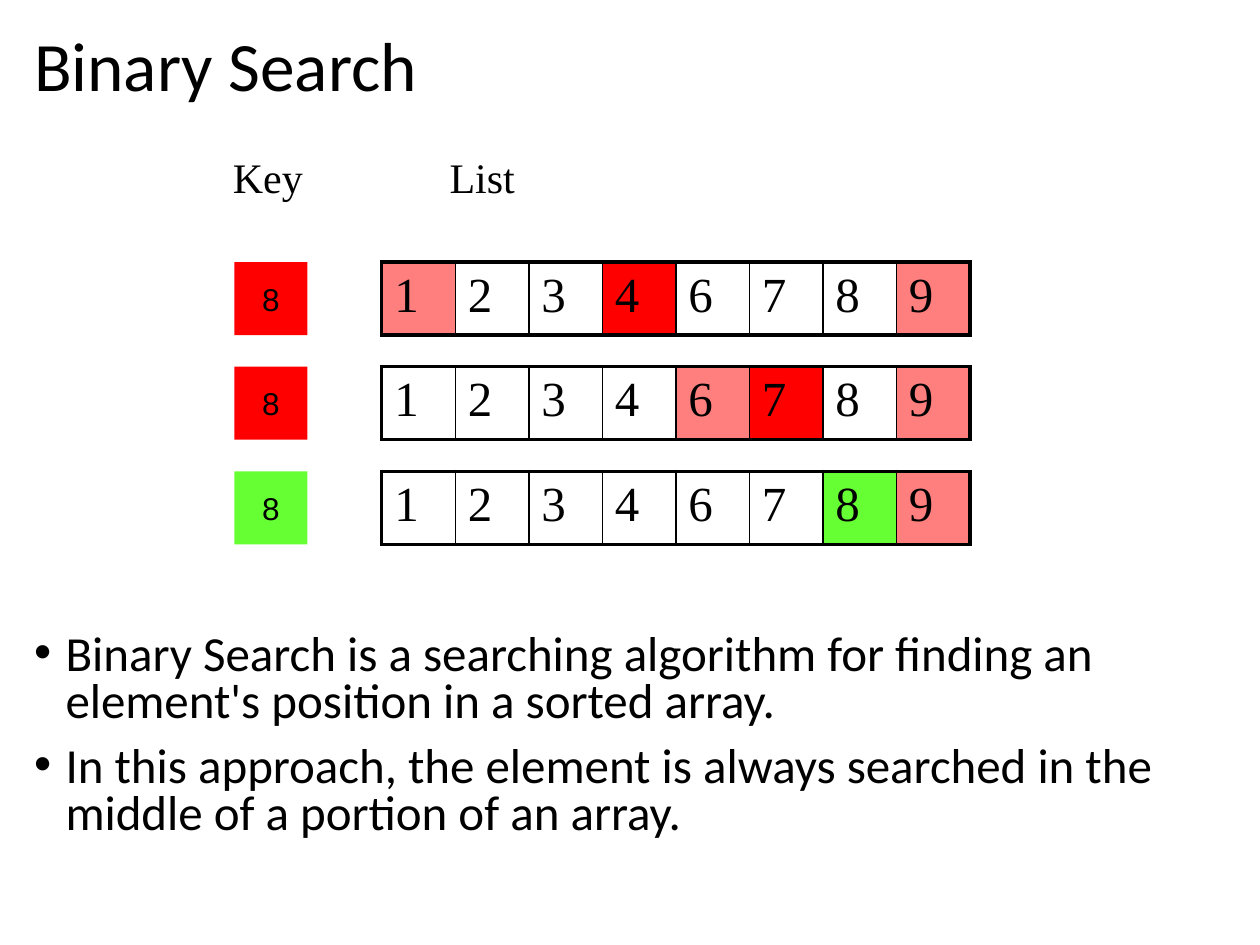
from lxml import etree
from pptx import Presentation
from pptx.dml.color import RGBColor
from pptx.enum.shapes import MSO_SHAPE
from pptx.enum.text import MSO_ANCHOR, PP_ALIGN
from pptx.oxml.ns import qn
from pptx.util import Inches, Pt

RECTANGLE = MSO_SHAPE.RECTANGLE
TOP, MIDDLE = MSO_ANCHOR.TOP, MSO_ANCHOR.MIDDLE
LEFT, CENTER = PP_ALIGN.LEFT, PP_ALIGN.CENTER

BLACK = RGBColor(0x00, 0x00, 0x00)
RED = RGBColor(0xFF, 0x00, 0x00)
GREEN = RGBColor(0x66, 0xFF, 0x33)

# Content
TITLE = "Binary Search"
POINTS = [
    "Binary Search is a searching algorithm for finding an element's position in a sorted array.",
    "In this approach, the element is always searched in the middle of a portion of an array.",
]
HEADINGS = [("Key", 1.75, 1.22), ("List", 3.47, 2.44)]  # text, left, width
KEY = 8
NUMBERS = [1, 2, 3, 4, 6, 7, 8, 9]
# Each step: bounds of the searched portion, its middle, colour of the comparison
STEPS = [((1, 9), 4, RED), ((6, 9), 7, RED), ((9, 9), 8, GREEN)]

# Layout in inches
KEY_LEFT, LIST_LEFT, FIRST_TOP = 1.86, 3.03, 2.08
STEP_PITCH, BOX, LIST_WIDTH = 0.83, 0.58, 4.67
THIN, THICK = Pt(1), Pt(2.25)


def format_text(paragraph, font_name, size):
    for run in paragraph.runs:
        run.font.name = font_name
        run.font.size = Pt(size)
        run.font.color.rgb = BLACK


def place(shape, left, top, width, height):
    shape.left, shape.top = Inches(left), Inches(top)
    shape.width, shape.height = Inches(width), Inches(height)


def set_borders(cell, widths):
    properties = cell._tc.get_or_add_tcPr()
    for position, (side, width) in enumerate(widths.items()):
        line = etree.Element(qn(f"a:{side}"), w=str(int(width)))
        fill = etree.SubElement(line, qn("a:solidFill"))
        etree.SubElement(fill, qn("a:srgbClr"), val=str(BLACK))
        properties.insert(position, line)


def fill_cell(cell, color, opacity=100):
    cell.fill.solid()
    cell.fill.fore_color.rgb = color
    if opacity < 100:
        color_element = cell._tc.tcPr.find(f".//{qn('a:srgbClr')}")
        etree.SubElement(color_element, qn("a:alpha"), val=str(opacity * 1000))


def add_key(slide, top, color):
    key = slide.shapes.add_shape(
        RECTANGLE, Inches(KEY_LEFT), Inches(top), Inches(BOX), Inches(BOX))
    key.shadow.inherit = False
    key.fill.solid()
    key.fill.fore_color.rgb = color
    key.line.fill.background()
    frame = key.text_frame
    frame.text = str(KEY)
    frame.word_wrap = False
    frame.vertical_anchor = MIDDLE
    frame.paragraphs[0].alignment = CENTER
    format_text(frame.paragraphs[0], "Arial", 18)


def add_list(slide, top, bounds, middle, color):
    table = slide.shapes.add_table(
        1, len(NUMBERS), Inches(LIST_LEFT), Inches(top),
        Inches(LIST_WIDTH), Inches(BOX)).table
    table.first_row = table.horz_banding = False
    last = len(NUMBERS) - 1
    for column, number in enumerate(NUMBERS):
        cell = table.cell(0, column)
        cell.text = str(number)
        format_text(cell.text_frame.paragraphs[0], "Times New Roman", 28)
        if number == middle:
            fill_cell(cell, color)
        elif number in bounds:
            fill_cell(cell, RED, opacity=50)
        else:
            cell.fill.background()
        set_borders(cell, {
            "lnL": THICK if column == 0 else THIN,
            "lnR": THICK if column == last else THIN,
            "lnT": THICK,
            "lnB": THICK,
        })


def main():
    presentation = Presentation()
    presentation.slide_width = Inches(10)
    presentation.slide_height = Inches(7.5)
    slide = presentation.slides.add_slide(presentation.slide_layouts[1])

    # Title
    title = slide.shapes.title
    place(title, 0.17, 0.18, 9.62, 0.74)
    title.text_frame.text = TITLE
    title.text_frame.vertical_anchor = MIDDLE
    heading = title.text_frame.paragraphs[0]
    heading.alignment = LEFT
    heading.line_spacing = 0.9
    format_text(heading, "Calibri", 39.6)

    # Explanation
    body = slide.placeholders[1]
    place(body, 0.17, 4.98, 9.62, 1.77)
    body.text_frame.text = "\n".join(POINTS)
    body.text_frame.vertical_anchor = TOP
    for point in body.text_frame.paragraphs:
        point.line_spacing = 0.8
        point.space_before = Pt(10)
        indents = point._p.get_or_add_pPr()
        indents.set("marL", str(Inches(0.25)))
        indents.set("indent", str(Inches(-0.25)))
        format_text(point, "Calibri", 28)

    # Search steps
    for index, (bounds, middle, color) in enumerate(STEPS):
        top = FIRST_TOP + index * STEP_PITCH
        add_list(slide, top, bounds, middle, color)
        add_key(slide, top, color)

    # Column headings
    for text, left, width in HEADINGS:
        label = slide.shapes.add_textbox(
            Inches(left), Inches(1.15), Inches(width), Inches(0.5))
        label.text_frame.word_wrap = True
        label.text_frame.text = text
        format_text(label.text_frame.paragraphs[0], "Times New Roman", 24)

    presentation.save("out.pptx")


if __name__ == "__main__":
    main()
